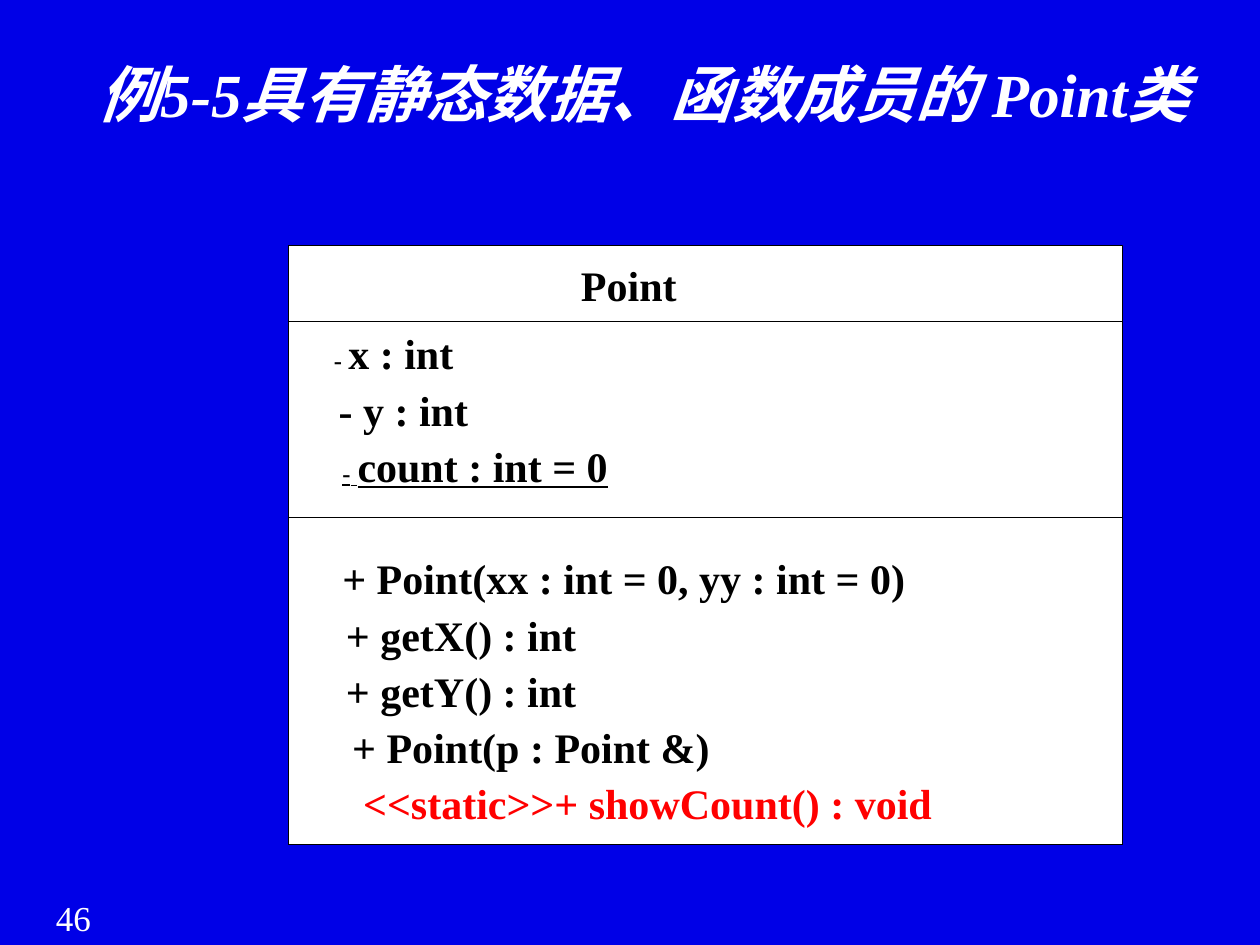
from dataclasses import dataclass

from pptx import Presentation
from pptx.dml.color import RGBColor
from pptx.enum.shapes import MSO_SHAPE
from pptx.enum.text import MSO_ANCHOR, MSO_AUTO_SIZE, PP_ALIGN
from pptx.util import Pt


@dataclass(frozen=True)
class Theme:
    font: str = "Times New Roman"
    back: RGBColor = RGBColor(0x00, 0x00, 0xE7)
    white: RGBColor = RGBColor(0xFF, 0xFF, 0xFF)
    black: RGBColor = RGBColor(0x00, 0x00, 0x00)
    red: RGBColor = RGBColor(0xFF, 0x00, 0x00)
    title: int = 35
    body: int = 24
    page: int = 20
    gap: int = 16
    mark: int = 14


@dataclass(frozen=True)
class Member:
    row: int
    left: float
    width: float
    runs: tuple[tuple[str, int], ...]
    color: RGBColor
    under: bool = False


theme = Theme()

# Class box: left, width, bottom and the top of each section
LEFT, WIDTH, BOTTOM = 165, 476.5, 482.8
TOPS = (140.2, 183.7, 295.7)
# Member rows share one pitch; row 3 stays free between the sections
FIRST, PITCH, HEIGHT = 187.3, 32.15, 29


def plain(row: int, left: float, width: float, text: str,
          color: RGBColor = theme.black) -> Member:
    return Member(row, left, width, ((text, theme.body),), color)


MEMBERS = (
    Member(0, 190.5, 69, (("- ", theme.mark), ("x : int", theme.body)), theme.black),
    plain(1, 193, 75, "- y : int"),
    Member(2, 194.7, 153.5, (("-", theme.mark), (" ", theme.gap),
                             ("count : int = 0", theme.body)), theme.black, True),
    plain(4, 194.2, 324.5, "+ Point(xx : int = 0, yy : int = 0)"),
    plain(5, 197, 133, "+ getX() : int"),
    plain(6, 197, 133, "+ getY() : int"),
    plain(7, 200.4, 206, "+ Point(p : Point &)"),
    plain(8, 205.8, 328.5, "<<static>>+ showCount() : void", theme.red),
)


def style(font, size: int, color: RGBColor, bold: bool = False) -> None:
    font.name = theme.font
    font.size = Pt(size)
    font.bold = bold
    font.color.rgb = color


def add_box(slide, top: float, filled: bool) -> None:
    box = slide.shapes.add_shape(MSO_SHAPE.RECTANGLE, Pt(LEFT), Pt(top),
                                 Pt(WIDTH), Pt(BOTTOM - top))
    box.shadow.inherit = False
    if filled:
        box.fill.solid()
        box.fill.fore_color.rgb = theme.white
    else:
        box.fill.background()
    box.line.color.rgb = theme.black
    box.line.width = Pt(0)


def add_label(slide, item: Member, top: float) -> None:
    box = slide.shapes.add_textbox(Pt(item.left), Pt(top), Pt(item.width), Pt(HEIGHT))
    frame = box.text_frame
    frame.word_wrap = False
    frame.auto_size = MSO_AUTO_SIZE.SHAPE_TO_FIT_TEXT
    frame.margin_left = frame.margin_right = 0
    frame.margin_top = frame.margin_bottom = 0
    line = frame.paragraphs[0]
    line.alignment = PP_ALIGN.CENTER
    style(line.font, theme.body, item.color, True)
    line.font.underline = item.under
    for text, size in item.runs:
        run = line.add_run()
        run.text = text
        if size != theme.body:
            run.font.size = Pt(size)


def add_title(slide, text: str) -> None:
    title = slide.shapes.title
    title.left, title.top = Pt(49.3), Pt(28.6)
    title.width, title.height = Pt(645), Pt(104.5)
    frame = title.text_frame
    frame.text = text
    frame.word_wrap = True
    frame.auto_size = MSO_AUTO_SIZE.NONE
    frame.vertical_anchor = MSO_ANCHOR.TOP
    line = frame.paragraphs[0]
    line.alignment = PP_ALIGN.LEFT
    style(line.font, theme.title, theme.white, True)
    line.font.italic = True


def add_page(slide, text: str) -> None:
    box = slide.shapes.add_textbox(Pt(12), Pt(509), Pt(60), Pt(31))
    frame = box.text_frame
    frame.word_wrap = True
    frame.text = text
    line = frame.paragraphs[0]
    line.alignment = PP_ALIGN.CENTER
    style(line.font, theme.page, theme.white)


def main() -> None:
    deck = Presentation()
    deck.slide_width, deck.slide_height = Pt(720), Pt(540)
    slide = deck.slides.add_slide(deck.slide_layouts[5])
    slide.background.fill.solid()
    slide.background.fill.fore_color.rgb = theme.back

    # Heading and page number
    add_title(slide, "例5-5具有静态数据、函数成员的 Point类")
    add_page(slide, "46")

    # Class diagram: sections, class name, members
    for top in TOPS:
        add_box(slide, top, top == TOPS[0])
    add_label(slide, plain(0, 331.6, 55.5, "Point"), 148.5)
    for item in MEMBERS:
        add_label(slide, item, FIRST + item.row * PITCH)

    deck.save("out.pptx")


if __name__ == "__main__":
    main()
